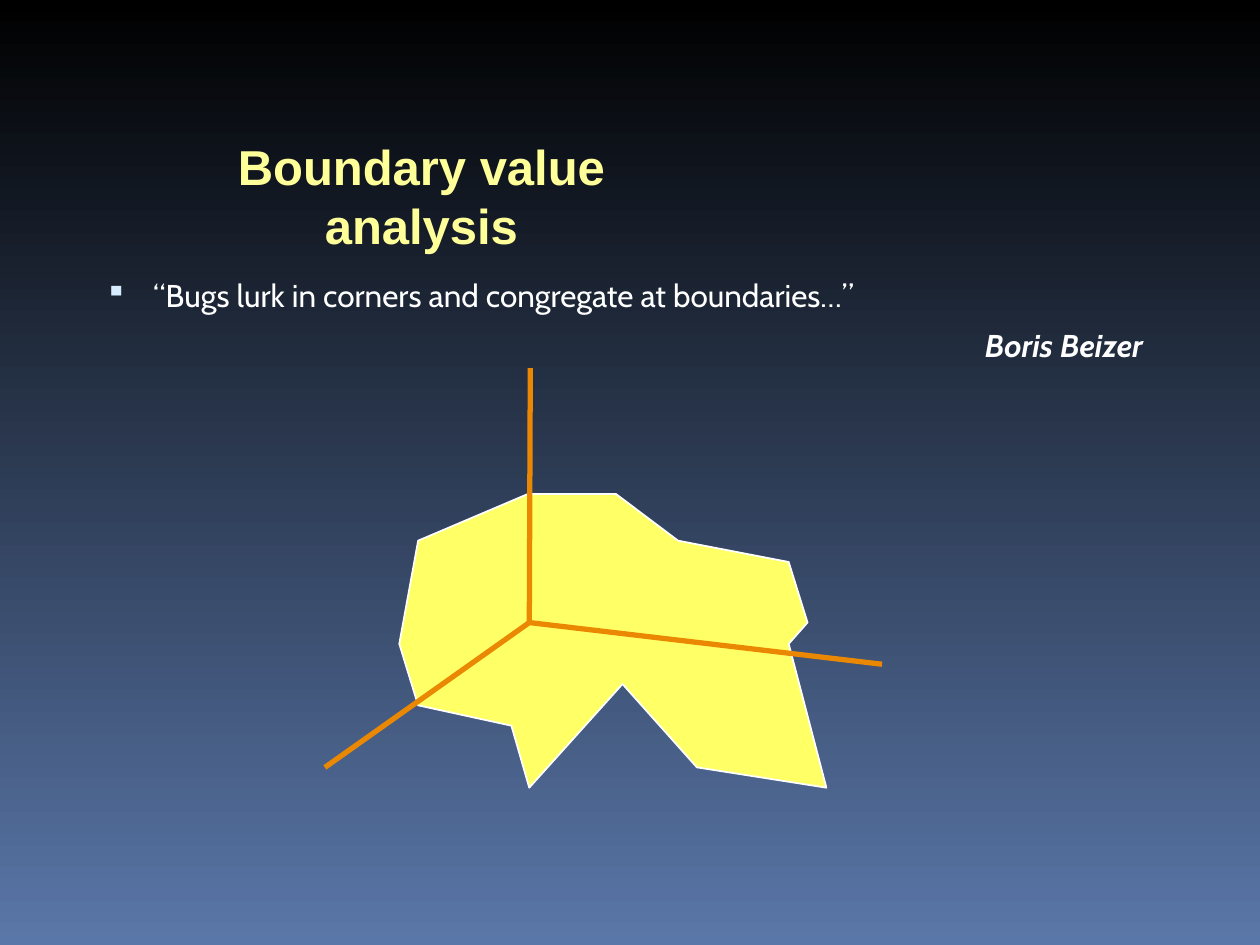
from lxml.etree import SubElement
from pptx import Presentation
from pptx.dml.color import RGBColor
from pptx.enum.shapes import MSO_CONNECTOR
from pptx.enum.text import MSO_ANCHOR, MSO_AUTO_SIZE, PP_ALIGN
from pptx.oxml.ns import qn
from pptx.util import Cm, Pt

COLORS = {
    "sky_top": "000000",
    "sky_bottom": "5A77A9",
    "title": "FFFF99",
    "text": "FFFFFF",
    "bullet": "D6ECFF",
    "region": "FFFF66",
    "outline": "FFFFFF",
    "axis": "EB8803",
}
REGION = [
    (10.64, 9.96), (12.42, 9.96), (13.67, 10.9), (15.9, 11.33), (16.28, 12.55),
    (15.9, 12.98), (16.66, 15.88), (14.05, 15.47), (12.55, 13.79), (10.67, 15.88),
    (10.31, 14.63), (8.43, 14.22), (8.05, 12.98), (8.43, 10.9),
]
ORIGIN = (10.67, 12.55)
AXIS_ENDS = [(10.69, 7.42), (6.55, 15.47), (17.78, 13.39)]


def color(name):
    """Return the named colour."""
    return RGBColor.from_string(COLORS[name])


def point(position):
    """Turn a pair of centimetres into slide lengths."""
    return tuple(Cm(value) for value in position)


def paint_background(page):
    """Fill the page with a vertical gradient."""
    fill = page.background.fill
    fill.gradient()
    fill.gradient_angle = 270
    for stop, name in zip(fill.gradient_stops, ("sky_top", "sky_bottom")):
        stop.color.rgb = color(name)


def add_span(para, text, font, size, tint, bold=False, italic=False):
    """Add one formatted run to a paragraph."""
    span = para.add_run()
    span.text = text
    span.font.name = font
    span.font.size = Pt(size)
    span.font.bold = bold
    span.font.italic = italic
    span.font.color.rgb = color(tint)


def add_bullet(para):
    """Give a paragraph a hanging square bullet."""
    properties = para._p.get_or_add_pPr()
    properties.set("marL", str(Cm(1.14)))
    properties.set("indent", str(Cm(-0.97)))
    tint = SubElement(properties, qn("a:buClr"))
    SubElement(tint, qn("a:srgbClr"), val=COLORS["bullet"])
    SubElement(properties, qn("a:buSzPct"), val="95000")
    SubElement(properties, qn("a:buChar"), char="▪")


def set_title(page, text):
    """Place and format the page title."""
    title = page.shapes.title
    title.left, title.top = point((2.46, 2.62))
    title.width, title.height = point((12.07, 1.45))
    frame = title.text_frame
    frame.word_wrap = False
    frame.auto_size = MSO_AUTO_SIZE.NONE
    frame.vertical_anchor = MSO_ANCHOR.TOP
    para = frame.paragraphs[0]
    para.alignment = PP_ALIGN.CENTER
    add_span(para, text, "Arial", 28, "title", bold=True)


def add_quote(page, quote, author):
    """Add the bulleted quotation and its author."""
    box = page.shapes.add_textbox(*point((1.7, 5.44, 21.59, 11.43)))
    frame = box.text_frame
    frame.word_wrap = True
    para = frame.paragraphs[0]
    add_bullet(para)
    add_span(para, quote, "Cabin", 18, "text")
    credit = frame.add_paragraph()
    credit.alignment = PP_ALIGN.RIGHT
    credit.space_before = Pt(7)
    add_span(credit, author, "Cabin", 18, "text", bold=True, italic=True)


def add_region(group):
    """Draw the irregular input domain."""
    corners = [point(corner) for corner in REGION]
    builder = group.shapes.build_freeform(*corners[0])
    builder.add_line_segments(corners[1:], close=True)
    region = builder.convert_to_shape()
    region.shadow.inherit = False
    region.fill.solid()
    region.fill.fore_color.rgb = color("region")
    region.line.color.rgb = color("outline")
    region.line.width = Pt(1)


def add_axis(group, end):
    """Draw one axis from the origin."""
    axis = group.shapes.add_connector(
        MSO_CONNECTOR.STRAIGHT, *point(ORIGIN), *point(end))
    axis.line.color.rgb = color("axis")
    axis.line.width = Pt(3)
    SubElement(axis._element.spPr, qn("a:effectLst"))


def main():
    """Build and save the deck."""
    deck = Presentation()
    deck.slide_width, deck.slide_height = point((25.4, 19.05))
    page = deck.slides.add_slide(deck.slide_layouts[5])
    paint_background(page)
    set_title(page, "Boundary value analysis")
    add_quote(page, "“Bugs lurk in corners and congregate at boundaries…”",
              "Boris Beizer")
    diagram = page.shapes.add_group_shape()
    add_region(diagram)
    for end in AXIS_ENDS:
        add_axis(diagram, end)
    deck.save("out.pptx")


if __name__ == "__main__":
    main()
